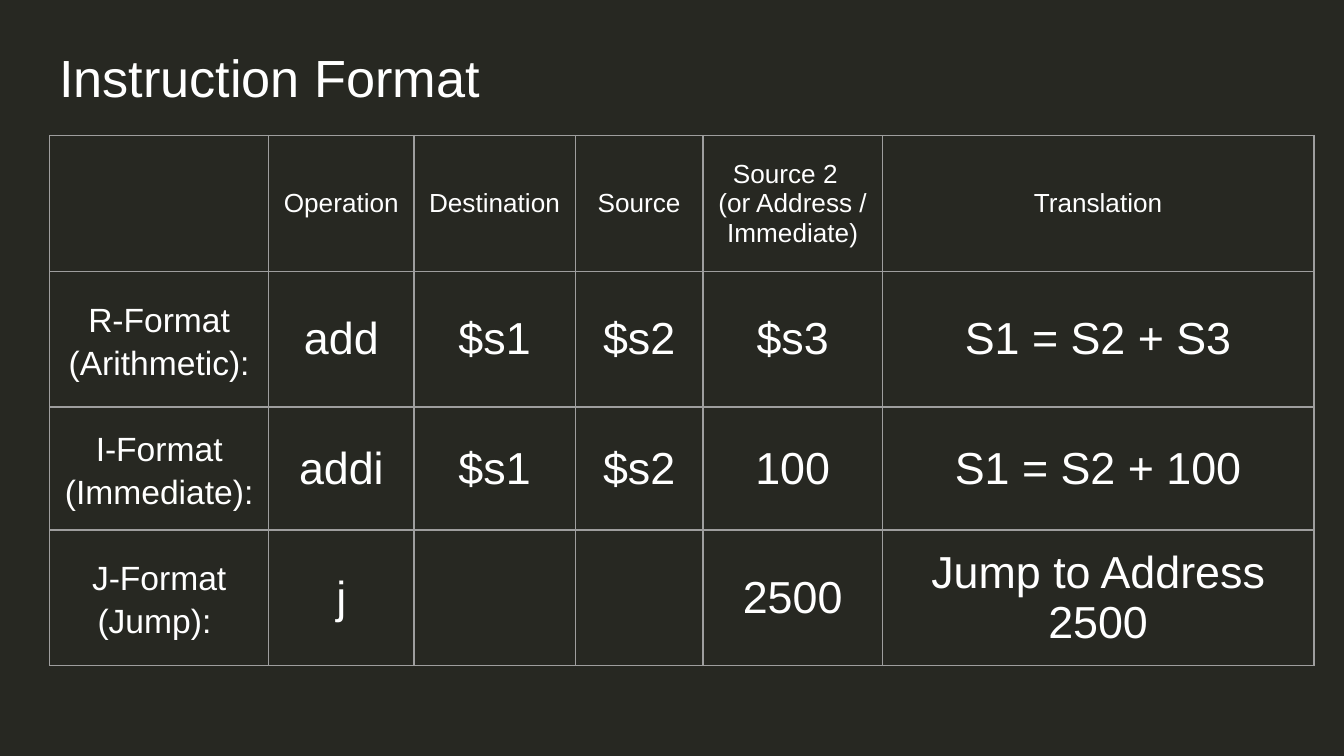
"""Build the Instruction Format slide with its table of formats."""
from lxml import etree
from pptx import Presentation
from pptx import util as u
from pptx.dml import color
from pptx.enum import text
from pptx.oxml import ns

COLS = [117.4, 77.8, 86.4, 68.5, 96, 231.3]
ROWS = [72.7, 72.7, 65.9, 72.5]
CELLS = [
    ["", "Operation", "Destination", "Source",
     "Source 2  \n(or Address / \nImmediate)", "Translation"],
    ["R-Format (Arithmetic):", "add", "$s1", "$s2", "$s3", "S1 = S2 + S3"],
    ["I-Format (Immediate):", "addi", "$s1", "$s2", "100", "S1 = S2 + 100"],
    ["J-Format (Jump): ", "j", "", "", "2500", "Jump to Address 2500"],
]


def rgb(value):
    return color.RGBColor.from_string(value)


def write(tf, content, size, font="Arial", fill="FFFFFF",
          align=text.PP_ALIGN.LEFT, spacing=1.0, after=0):
    for i, line in enumerate(content.split("\n")):
        p = tf.paragraphs[0] if i == 0 else tf.add_paragraph()
        p.alignment = align
        p.line_spacing = spacing
        p.space_before, p.space_after = u.Pt(0), u.Pt(after)
        r = p.add_run()
        r.text = line
        r.font.name, r.font.size, r.font.bold = font, u.Pt(size), False
        r.font.color.rgb = rgb(fill)


class Deck:
    """Holds the style and the current slide."""

    background = "272822"
    border = "9E9E9E"
    border_width = 0.75
    inset = u.Pt(7.2)

    def __init__(self, width, height):
        self.prs = Presentation()
        self.prs.slide_width, self.prs.slide_height = u.Pt(width), u.Pt(height)
        self.s = None

    def add_slide(self):
        self.s = self.prs.slides.add_slide(self.prs.slide_layouts[5])
        fill = self.s.background.fill
        fill.solid()
        fill.fore_color.rgb = rgb(self.background)

    def set_insets(self, box):
        box.margin_left = box.margin_right = self.inset
        box.margin_top = box.margin_bottom = self.inset

    def title(self, content, x, y, w, h):
        sp = self.s.shapes.title
        sp.left, sp.top, sp.width, sp.height = map(u.Pt, (x, y, w, h))
        tf = sp.text_frame
        tf.auto_size = text.MSO_AUTO_SIZE.NONE
        tf.word_wrap = True
        tf.vertical_anchor = text.MSO_ANCHOR.TOP
        self.set_insets(tf)
        write(tf, content, 28)

    def borders(self, cell):
        pr = cell._tc.get_or_add_tcPr()
        for i, side in enumerate(("lnL", "lnR", "lnT", "lnB")):
            ln = etree.Element(ns.qn(f"a:{side}"), w=str(u.Pt(self.border_width)))
            fill = etree.SubElement(ln, ns.qn("a:solidFill"))
            etree.SubElement(fill, ns.qn("a:srgbClr"), val=self.border)
            pr.insert(i, ln)

    def table(self, cells, x, y, cols, rows):
        frame = self.s.shapes.add_table(
            len(rows), len(cols), *map(u.Pt, (x, y, sum(cols), sum(rows))))
        tbl = frame.table
        tbl.first_row = tbl.horz_banding = False
        for col, width in zip(tbl.columns, cols):
            col.width = u.Pt(width)
        for row, height in zip(tbl.rows, rows):
            row.height = u.Pt(height)
        for i, line in enumerate(cells):
            for j, content in enumerate(line):
                cell = tbl.cell(i, j)
                cell.fill.background()
                cell.vertical_anchor = text.MSO_ANCHOR.MIDDLE
                self.set_insets(cell)
                self.borders(cell)
                if not content:
                    continue
                style = {"size": 14 if i == 0 else 24}
                if j == 0:
                    style = {"size": 18, "spacing": 1.15, "after": 16}
                write(cell.text_frame, content,
                      align=text.PP_ALIGN.CENTER, **style)


def main():
    deck = Deck(720, 405)
    deck.add_slide()
    deck.title("Instruction Format", 24.5, 17.3, 671, 45.4)
    deck.table(CELLS, 26.6, 72.7, COLS, ROWS)
    deck.prs.save("out.pptx")


if __name__ == "__main__":
    main()
